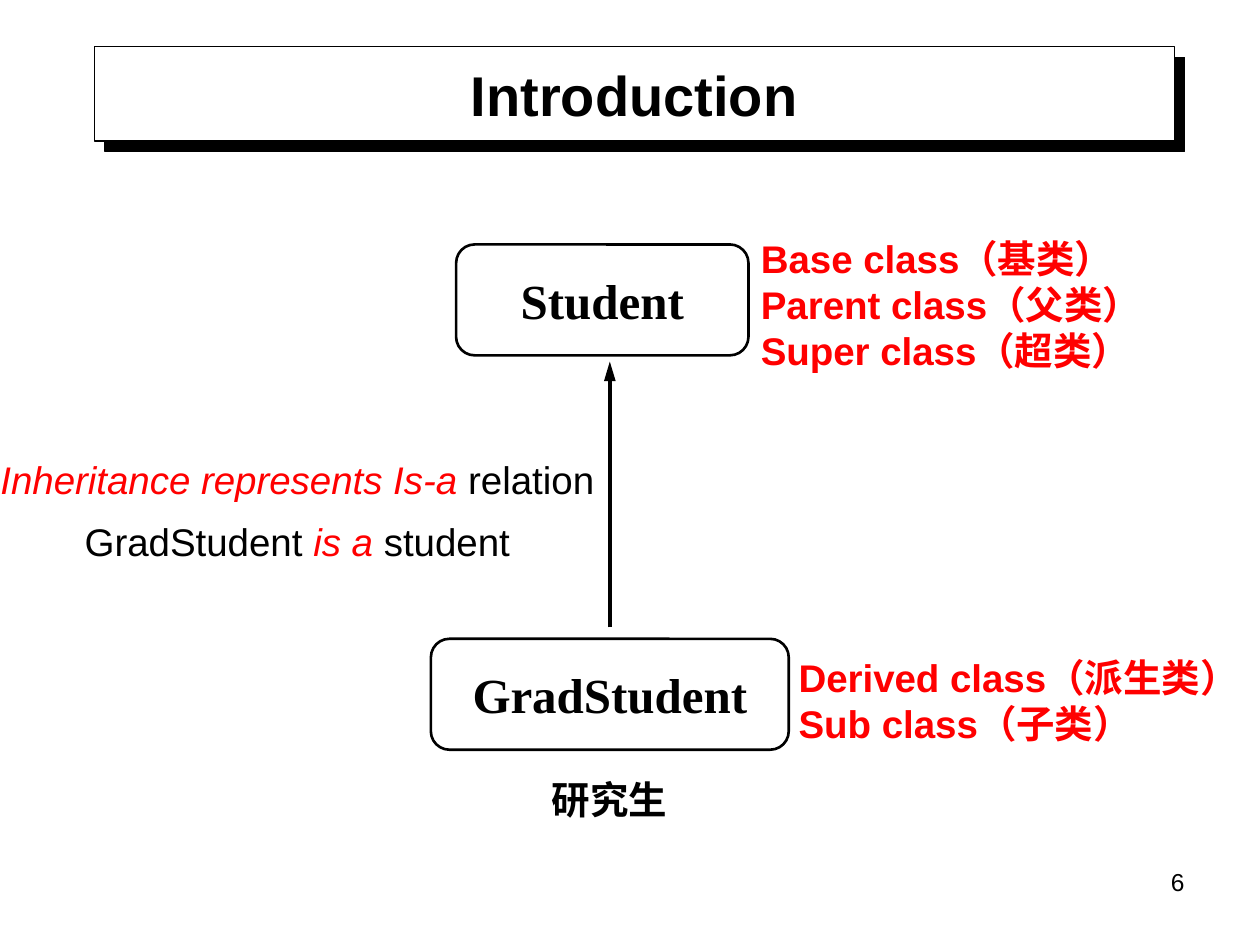
from lxml.etree import SubElement
from pptx import Presentation
from pptx.dml.color import RGBColor
from pptx.enum.shapes import MSO_CONNECTOR as Connector, MSO_SHAPE as Shape
from pptx.enum.text import MSO_ANCHOR as Anchor, PP_ALIGN as Align
from pptx.oxml.ns import qn
from pptx.util import Inches, Pt

COLORS = {"ink": "000000", "accent": "FF0000", "paper": "FFFFFF"}
SANS, SERIF = "Arial", "Times New Roman"
WIDTH, HEIGHT = 10, 7.5

# Each text is a list of paragraphs; each paragraph a list of (words, is_accent) spans.
TITLE = [[("Introduction", False)]]
TITLE_AREA = (0.75, 0.37, 8.57, 0.75)
CLASSES = [
    ([[("Student", False)]], (3.62, 1.94, 2.32, 0.88)),
    ([[("GradStudent", False)]], (3.42, 5.07, 2.84, 0.88)),
]
SYNONYMS = [
    (["Base class（基类）", "Parent class（父类）", "Super class（超类）"], (5.94, 1.78, 3.4, 1.27)),
    (["Derived class（派生类）", "Sub class（子类）"], (6.24, 4.92, 3.76, 1.27)),
]
RELATION = [
    [("Inheritance represents Is-a", True), (" relation", False)],
    [("GradStudent ", False), ("is a", True), (" student", False)],
]
RELATION_AREA = (-0.14, 3.35, 5, 1.27)
TRANSLATION = [[("研究生", False)]]
TRANSLATION_AREA = (4.28, 6.11, 1.2, 0.47)
PAGE_NUMBER = [[("6", False)]]
PAGE_NUMBER_AREA = (7.17, 6.83, 2.33, 0.52)
ARROW_X, ARROW_START, ARROW_END = 4.84, 4.98, 2.87


def color(name):
    return RGBColor.from_string(COLORS[name])


def write(box, paragraphs, size=22, font=SANS, bold=False, italic_accent=False,
          align=Align.LEFT, anchor=Anchor.MIDDLE, spacing=None, margins=(0.1, 0.05)):
    frame = box.text_frame
    frame.word_wrap = True
    frame.vertical_anchor = anchor
    frame.margin_left = frame.margin_right = Inches(margins[0])
    frame.margin_top = frame.margin_bottom = Inches(margins[1])
    for index, spans in enumerate(paragraphs):
        para = frame.add_paragraph() if index else frame.paragraphs[0]
        para.alignment = align
        if spacing:
            para.line_spacing = spacing
        for words, is_accent in spans:
            span = para.add_run()
            span.text = words
            span.font.name, span.font.size, span.font.bold = font, Pt(size), bold
            span.font.italic = italic_accent and is_accent
            span.font.color.rgb = color("accent" if is_accent else "ink")


def add_box(page, kind, area, line_width):
    box = page.shapes.add_shape(kind, *map(Inches, area))
    box.shadow.inherit = False
    box.line.color.rgb = color("ink")
    box.line.width = Pt(line_width)
    return box


def add_label(page, paragraphs, area, **style):
    write(page.shapes.add_textbox(*map(Inches, area)), paragraphs, **style)


def add_hard_shadow(box, distance):
    effects = box.element.spPr.find(qn("a:effectLst"))
    shadow = SubElement(effects, qn("a:outerShdw"), dist=str(Pt(distance)),
                        dir=str(45 * 60000), algn="ctr", rotWithShape="0")
    SubElement(shadow, qn("a:srgbClr"), val=COLORS["ink"])


def add_title(page):
    panel = add_box(page, Shape.RECTANGLE, TITLE_AREA, 0.75)
    panel.fill.solid()
    panel.fill.fore_color.rgb = color("paper")
    add_hard_shadow(panel, 8.5)
    write(panel, TITLE, size=32, bold=True, align=Align.CENTER)


def add_class(page, name, area):
    box = add_box(page, Shape.ROUNDED_RECTANGLE, area, 1.5)
    box.fill.background()
    write(box, name, size=28, font=SERIF, bold=True, align=Align.CENTER, margins=(0, 0))


def add_inheritance_arrow(page):
    arrow = page.shapes.add_connector(
        Connector.STRAIGHT, *map(Inches, (ARROW_X, ARROW_START, ARROW_X, ARROW_END)))
    arrow.line.color.rgb = color("ink")
    arrow.line.width = Pt(2.25)
    properties = arrow.element.spPr
    SubElement(properties.find(qn("a:ln")), qn("a:tailEnd"), type="triangle", w="med", len="lg")
    SubElement(properties, qn("a:effectLst"))


def main():
    deck = Presentation()
    deck.slide_width, deck.slide_height = Inches(WIDTH), Inches(HEIGHT)
    page = deck.slides.add_slide(deck.slide_layouts[6])

    add_title(page)
    add_label(page, PAGE_NUMBER, PAGE_NUMBER_AREA, size=14, align=Align.RIGHT, anchor=Anchor.TOP)
    for name, area in CLASSES:
        add_class(page, name, area)
    add_inheritance_arrow(page)
    for lines, area in SYNONYMS:
        add_label(page, [[(line, True)] for line in lines], area, bold=True)
    add_label(page, RELATION, RELATION_AREA, italic_accent=True, align=Align.CENTER, spacing=1.35)
    add_label(page, TRANSLATION, TRANSLATION_AREA, bold=True, anchor=Anchor.TOP)

    deck.save("out.pptx")


if __name__ == "__main__":
    main()
